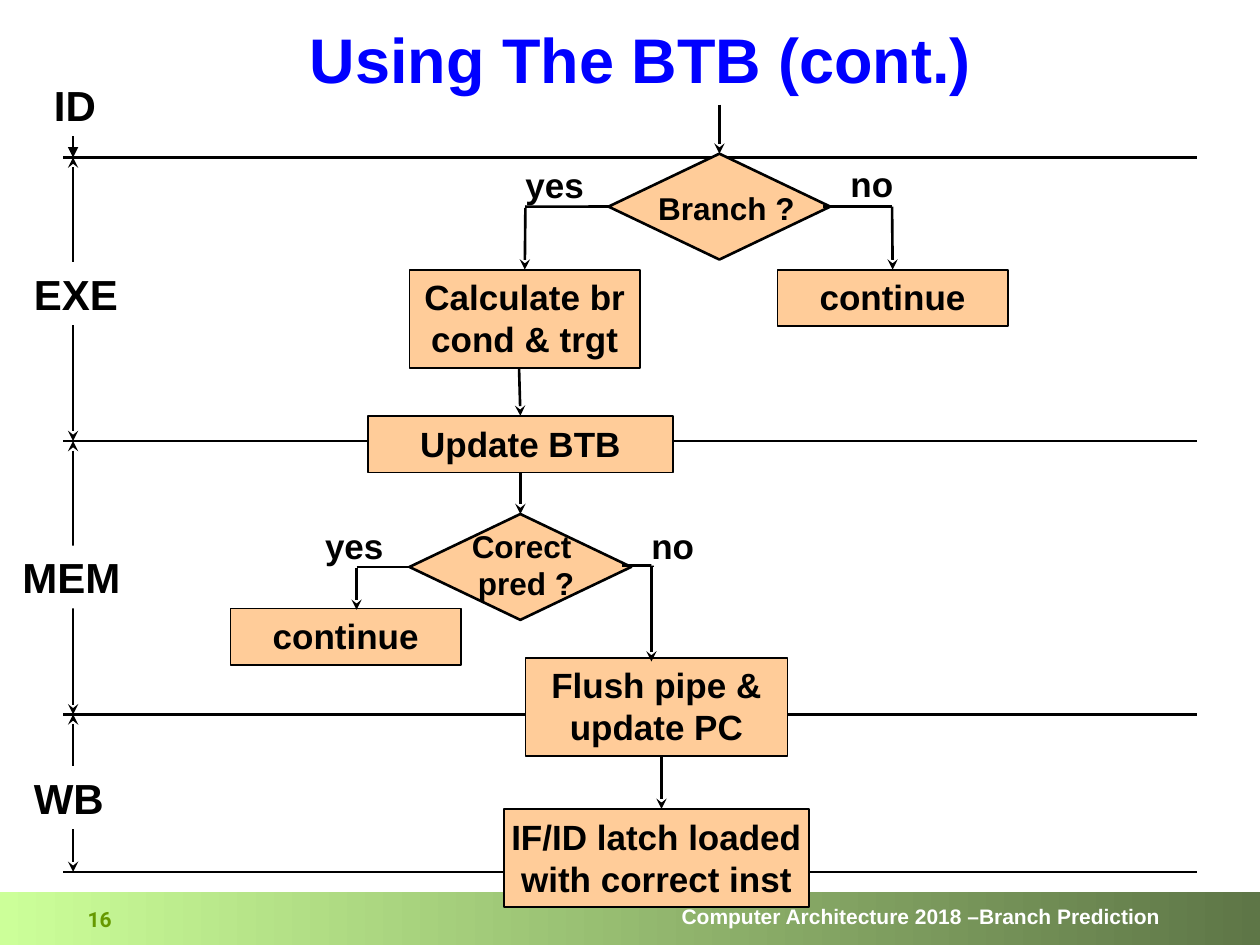
from itertools import pairwise
from lxml import etree
from pptx import Presentation
from pptx.dml.color import RGBColor
from pptx.enum import shapes, text
from pptx.oxml import ns
from pptx.util import Inches, Pt

COLORS = {"ink": "000000", "title": "0000FF", "box": "FFCC99", "paper": "FFFFFF",
          "number": "669900", "band_start": "CCFF99", "band_end": "5E7647"}
RULES = [1.25, 3.5, 5.67, 6.92]
RULE_SPAN = (0.5, 9.5)
AXIS = 0.58
STAGES = [("ID", 0.33, 0.58, 0.58), ("EXE", 0.17, 2.08, 1.08),
          ("MEM", 0.08, 4.33, 1), ("WB", 0.17, 6.08, 1)]
DECISIONS = {
    "branch": (["Branch ?"], (4.83, 1.22), (4.93, 1.45)),
    "correct": (["Corect ", "pred ?"], (3.25, 4.08), (3.34, 4.13)),
}
DECISION_SIZE = (1.76, 0.84)
STEPS = {
    "calculate": (["Calculate br", "cond & trgt"], 3.25, 2.14, 1.83),
    "flush": (["Flush pipe &", "update PC"], 4.17, 5.22, 2.08),
    "latch": (["IF/ID latch loaded", "with correct inst"], 4, 6.42, 2.42),
    "correct_continue": (["continue"], 1.83, 4.83, 1.83),
    "update": (["Update BTB"], 2.92, 3.3, 2.42),
    "branch_continue": (["continue"], 6.17, 2.14, 1.83),
}
STEP_HEIGHTS = {1: 0.45, 2: 0.78}
ANSWERS = [("yes", 2.58, 4.16), ("no", 5.17, 4.16), ("yes", 4.17, 1.3), ("no", 6.75, 1.29)]
TOP, LEFT, BOTTOM, RIGHT = range(4)
BRANCH_ARMS = [
    ((4.17, 1.64), ("branch", LEFT)),
    ((6.53, 1.64), (7.08, 1.64)),
    ((2.83, 4.5), ("correct", LEFT)),
    ((4.94, 4.49), (5.19, 4.49)),
]
FLOWS = [
    ((5.71, 0.83), ("branch", TOP)),
    ((4.17, 1.65), ("calculate", TOP)),
    ((7.08, 1.64), ("branch_continue", TOP)),
    ((4.12, 2.93), ("update", TOP)),
    (("update", BOTTOM), ("correct", TOP)),
    ((2.83, 4.51), (2.83, 4.84)),
    ((5.17, 4.49), (5.17, 5.25)),
    ((5.25, 6), (5.25, 6.42)),
]


def rgb(name):
    return RGBColor.from_string(COLORS[name])


def write(holder, lines, size, color="ink", font="Arial", align="CENTER", anchor="TOP",
          insets=(0.1, 0.05), spacing=None):
    frame = holder.text_frame
    frame.word_wrap = True
    frame.vertical_anchor = text.MSO_ANCHOR[anchor]
    frame.margin_left = frame.margin_right = Inches(insets[0])
    frame.margin_top = frame.margin_bottom = Inches(insets[1])
    for index, line in enumerate(lines):
        paragraph = frame.add_paragraph() if index else frame.paragraphs[0]
        paragraph.alignment = text.PP_ALIGN[align]
        paragraph.line_spacing = spacing
        run = paragraph.add_run()
        run.text = line
        run.font.name, run.font.size, run.font.bold = font, Pt(size), True
        run.font.color.rgb = rgb(color)


def add_text(slide, box, lines, size, **style):
    holder = slide.shapes.add_textbox(*map(Inches, box))
    write(holder, lines, size, **style)
    return holder


def add_label(slide, box, label, size, **style):
    holder = add_text(slide, box, [label], size, align="LEFT", **style)
    holder.fill.solid()
    holder.fill.fore_color.rgb = rgb("paper")


def add_block(slide, kind, box, weight):
    block = slide.shapes.add_shape(shapes.MSO_SHAPE[kind], *map(Inches, box))
    block.shadow.inherit = False
    block.fill.solid()
    block.fill.fore_color.rgb = rgb("box")
    block.line.color.rgb = rgb("ink")
    block.line.width = Pt(weight)
    return block


def add_line(slide, start, end, weight=1.5, head=None, tail=None, blocks=None):
    joins = [point if isinstance(point[0], str) else None for point in (start, end)]
    ends = [(0, 0) if join else point for join, point in zip(joins, (start, end))]
    line = slide.shapes.add_connector(
        shapes.MSO_CONNECTOR.STRAIGHT, *(Inches(value) for point in ends for value in point))
    for join, connect in zip(joins, (line.begin_connect, line.end_connect)):
        if join:
            connect(blocks[join[0]], join[1])
    line.line.color.rgb = rgb("ink")
    line.line.width = Pt(weight)
    properties = line.line._get_or_add_ln()
    for tag, arrow in (("a:headEnd", head), ("a:tailEnd", tail)):
        if arrow:
            etree.SubElement(properties, ns.qn(tag), type=arrow)
    etree.SubElement(line._element.spPr, ns.qn("a:effectLst"))


def add_footer(slide):
    band = add_block(slide, "RECTANGLE", (0, 7.08, 10, 0.42), 1)
    band.line.fill.background()
    band.fill.gradient()
    band.fill.gradient_angle = 0
    for stop, name, position in zip(band.fill.gradient_stops, ("band_start", "band_end"), (0, 1)):
        stop.color.rgb = rgb(name)
        stop.position = position
    write(band, ["Computer Architecture 2018 –Branch Prediction"], 12, color="paper",
          align="LEFT", anchor="MIDDLE", insets=(0, 0), spacing=0.8)
    band.text_frame.margin_left = Inches(5.41)
    add_text(slide, (0.5, 7.17, 0.58, 0.28), ["16"], 12, color="number", font="Roboto",
             spacing=0.9)


def add_stages(slide):
    add_line(slide, (AXIS, 0.75), (AXIS, RULES[0]), weight=1, tail="triangle")
    for top, bottom in pairwise(RULES):
        add_line(slide, (AXIS, top), (AXIS, bottom), weight=1, head="stealth", tail="stealth")
    for y in RULES:
        add_line(slide, (RULE_SPAN[0], y), (RULE_SPAN[1], y))
    for label, left, top, width in STAGES:
        add_label(slide, (left, top, width, 0.5), label, 24)


def add_flowchart(slide):
    blocks = {}
    for name, (lines, corner, text_corner) in DECISIONS.items():
        blocks[name] = add_block(slide, "DIAMOND", (*corner, *DECISION_SIZE), 1.5)
        add_text(slide, (*text_corner, 1.67, 0.1 + 0.3 * len(lines)), lines, 18)
    for name, (lines, left, top, width) in STEPS.items():
        blocks[name] = add_block(
            slide, "RECTANGLE", (left, top, width, STEP_HEIGHTS[len(lines)]), 1)
        write(blocks[name], lines, 20, insets=(0.05, 0.05))
    for start, end in BRANCH_ARMS:
        add_line(slide, start, end, blocks=blocks)
    for label, left, top in ANSWERS:
        add_label(slide, (left, top, 0.5, 0.33), label, 20, insets=(0, 0))
    for start, end in FLOWS:
        add_line(slide, start, end, tail="stealth", blocks=blocks)


def main():
    deck = Presentation()
    deck.slide_width, deck.slide_height = Inches(10), Inches(7.5)
    slide = deck.slides.add_slide(deck.slide_layouts[6])
    add_footer(slide)
    add_text(slide, (1.17, 0, 7.83, 1), ["Using The BTB (cont.)"], 36, color="title",
             anchor="MIDDLE", spacing=0.9)
    add_stages(slide)
    add_flowchart(slide)
    deck.save("out.pptx")


if __name__ == "__main__":
    main()
